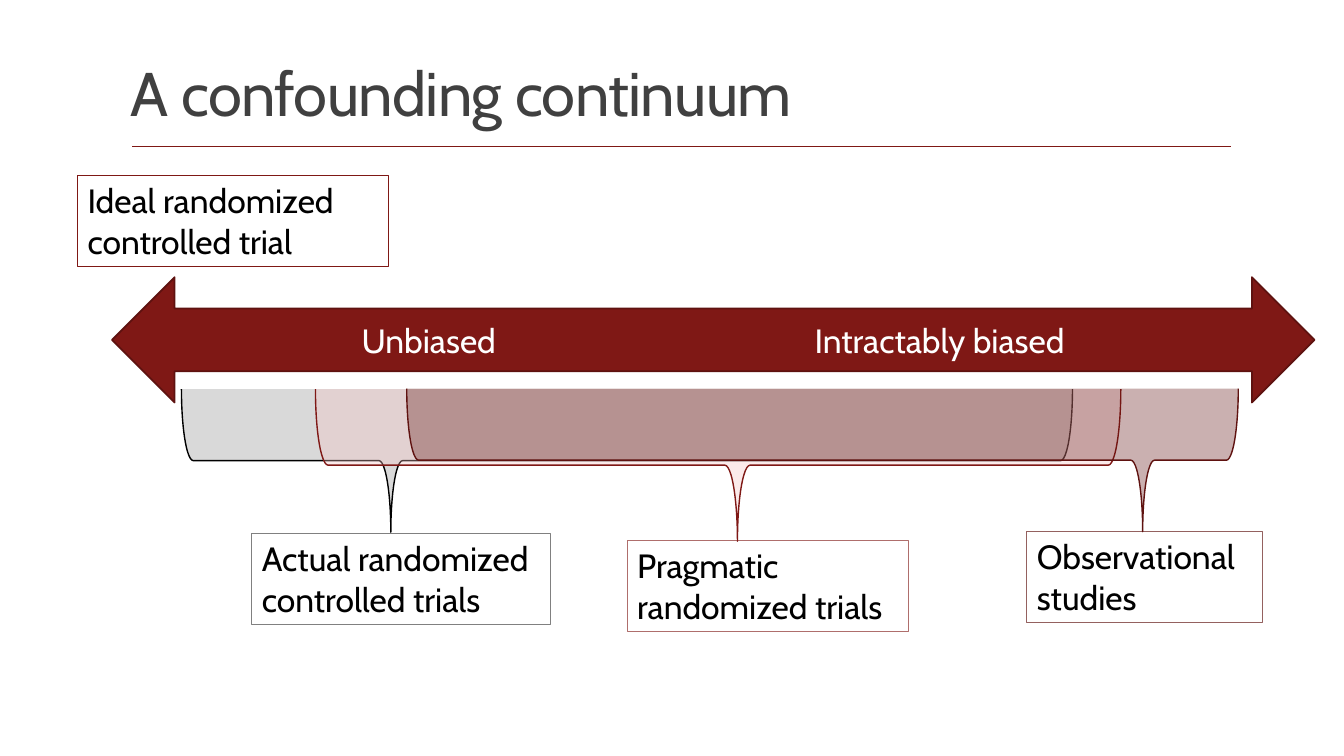
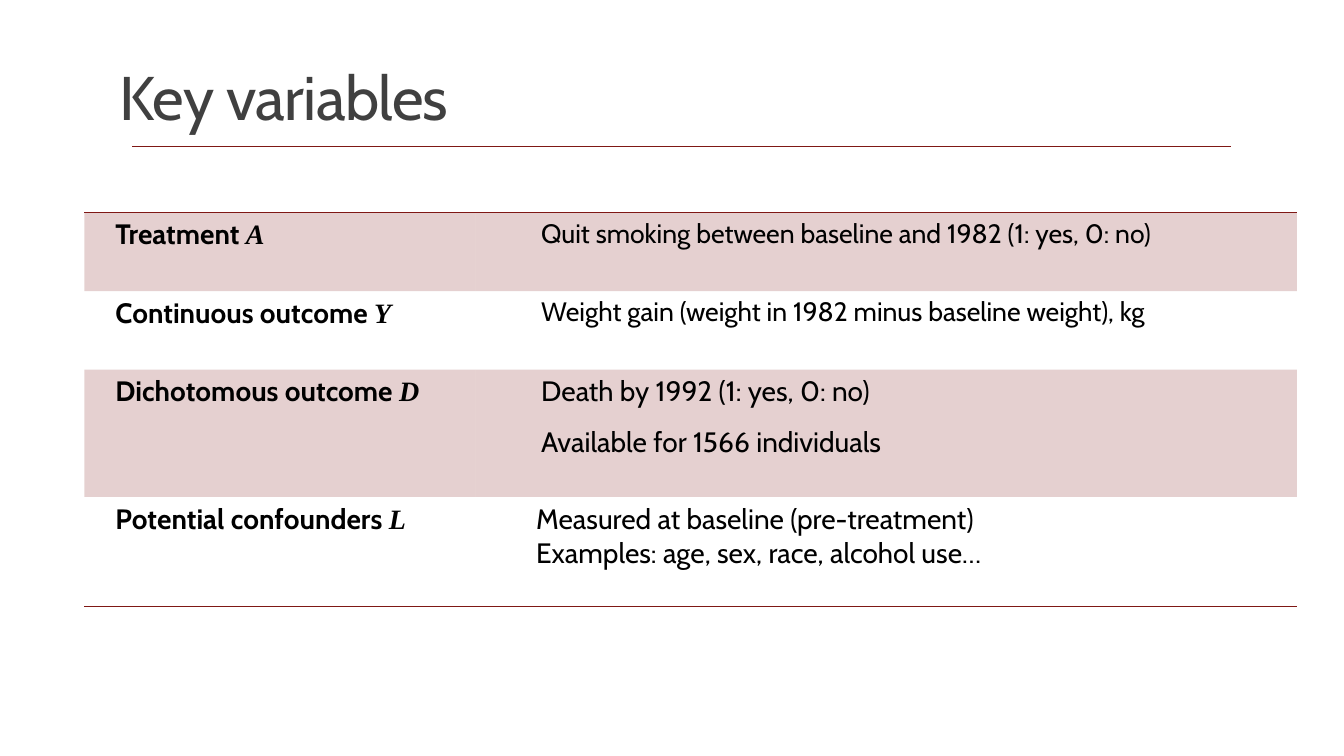
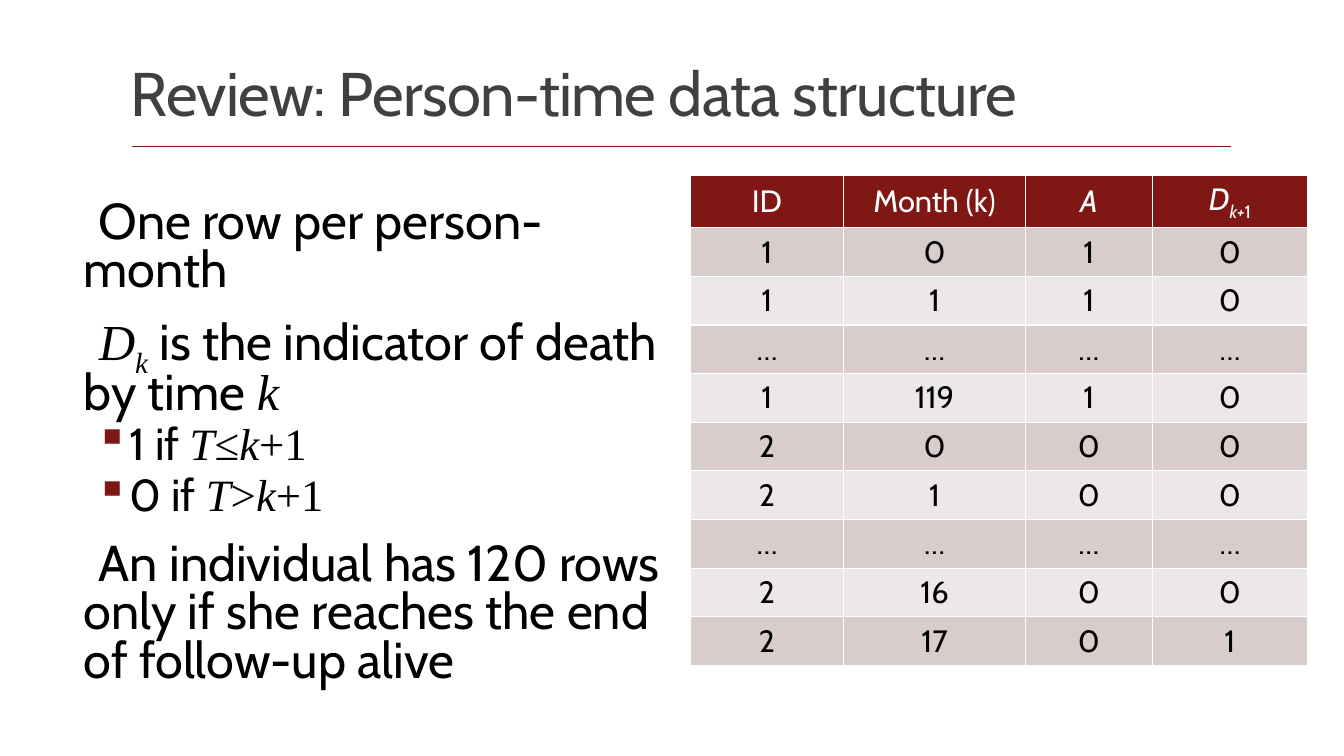
from pptx import Presentation
from pptx.dml.color import RGBColor
from pptx.enum.shapes import MSO_CONNECTOR as CONN, MSO_SHAPE as SHAPE
from pptx.enum.text import MSO_ANCHOR as ANCHOR, PP_ALIGN as ALIGN
from pptx.oxml.ns import qn
from pptx.util import Pt
from lxml.etree import SubElement, Element

RED = RGBColor(0x7F, 0x18, 0x15)
DARK_RED = RGBColor(0x5E, 0x12, 0x10)
DEEP_RED = RGBColor(0x5F, 0x12, 0x10)
ROSE = RGBColor(0xAF, 0x6E, 0x6C)
MAUVE = RGBColor(0x94, 0x61, 0x5F)
PINK = RGBColor(0xF5, 0xC2, 0xC1)
BAND_DARK = RGBColor(0xD8, 0xCC, 0xCC)
BAND_LIGHT = RGBColor(0xEC, 0xE8, 0xE8)
LIGHT_GREY = RGBColor(0xD9, 0xD9, 0xD9)
GREY = RGBColor(0x80, 0x80, 0x80)
CHARCOAL = RGBColor(0x40, 0x40, 0x40)
BLACK = RGBColor(0, 0, 0)
WHITE = RGBColor(0xFF, 0xFF, 0xFF)
NO_STYLE = "{2D5ABB26-0587-4C30-8999-92F81FD0307C}"


def write(p, size, color, *runs):
    # flags: b bold, i italic, m math font, s subscript
    for text, flags in runs:
        r = p.add_run()
        r.text = text
        f = r.font
        f.name = "Times New Roman" if "m" in flags else "Cabin"
        f.size = Pt(size)
        f.color.rgb = color
        f.bold = "b" in flags
        f.italic = "i" in flags
        if "s" in flags:
            r._r.get_or_add_rPr().set("baseline", "-25000")


def border(cell, side, color, width):
    tcPr = cell._tc.get_or_add_tcPr()
    ln = Element(qn("a:ln" + side), w=str(Pt(width)))
    SubElement(SubElement(ln, qn("a:solidFill")), qn("a:srgbClr"), val=str(color))
    tcPr.insert(len([e for e in tcPr if "}ln" in e.tag]), ln)


prs = Presentation()
prs.slide_width, prs.slide_height = Pt(960), Pt(540)

slides = []
for title, box in [
    ("A confounding continuum", (86.4, 26, 792, 70)),
    ("Key variables", (78.5, 18, 784, 80.6)),
    ("Review: Person-time data structure", (86.4, 26, 792, 70)),
]:
    s = prs.slides.add_slide(prs.slide_layouts[6])
    slides.append(s)
    rule = s.shapes.add_connector(CONN.STRAIGHT, Pt(94.5), Pt(104.5), Pt(879), Pt(104.5))
    rule.line.color.rgb = RED
    rule.line.width = Pt(0.5)
    SubElement(rule._element.spPr, qn("a:effectLst"))
    tf = s.shapes.add_textbox(*map(Pt, box)).text_frame
    tf.word_wrap = True
    tf.vertical_anchor = ANCHOR.BOTTOM
    p = tf.paragraphs[0]
    p.line_spacing = 0.85
    write(p, 44, CHARCOAL, (title, ""))
    p.runs[0]._r.get_or_add_rPr().set("spc", "-50")

continuum, variables, review = slides

arrow = continuum.shapes.add_shape(SHAPE.LEFT_RIGHT_ARROW, Pt(80), Pt(198), Pt(859), Pt(89.5))
arrow.shadow.inherit = False
arrow.fill.solid()
arrow.fill.fore_color.rgb = RED
arrow.line.color.rgb = DARK_RED
arrow.line.width = Pt(1.25)
tf = arrow.text_frame
tf.margin_left = Pt(156)
tf.vertical_anchor = ANCHOR.MIDDLE
p = tf.paragraphs[0]
p.alignment = ALIGN.LEFT
tabs = SubElement(p._p.get_or_add_pPr(), qn("a:tabLst"))
SubElement(tabs, qn("a:tab"), pos=str(Pt(323.5)), algn="l")
write(p, 24, WHITE, ("Unbiased\tIntractably biased", ""))

for text, left, top, width, color in [
    ("Ideal randomized controlled trial", 55.5, 125.3, 222, RED),
    ("Actual randomized controlled trials", 180, 381, 213.5, GREY),
    ("Pragmatic randomized trials", 448, 386, 201, ROSE),
    ("Observational studies", 733.5, 379.5, 168, MAUVE),
]:
    sp = continuum.shapes.add_textbox(Pt(left), Pt(top), Pt(width), Pt(65.4))
    sp.line.color.rgb = color
    sp.line.width = Pt(0.75)
    sp.text_frame.word_wrap = True
    write(sp.text_frame.paragraphs[0], 24, BLACK, (text, ""))

for box, tip, fill, alpha, color in [
    ((396.7, 10.8, 102.2, 636.5), 0.765, LIGHT_GREY, 100, BLACK),
    ((458.6, 44.6, 108.7, 575.3), 0.476, PINK, 33, RED),
    ((536.4, 31.7, 102.2, 594), 0.115, DEEP_RED, 33, DEEP_RED),
]:
    sp = continuum.shapes.add_shape(SHAPE.RIGHT_BRACE, *map(Pt, box))
    sp.shadow.inherit = False
    sp.rotation = 90
    sp.adjustments[0] = 0.083
    sp.adjustments[1] = tip
    sp.fill.solid()
    sp.fill.fore_color.rgb = fill
    clr = sp._element.spPr.find(qn("a:solidFill"))[0]
    SubElement(clr, qn("a:alpha"), val=str(alpha * 1000))
    sp.line.color.rgb = color
    sp.line.width = Pt(1)

tables = []
for s, left, top, cols, rows in [
    (variables, 60.3, 152, (279.5, 586.5), (56, 56, 91, 78)),
    (review, 492.8, 125.5, (110, 129.5, 91, 110.5), [36.2] + [34.75] * 9),
]:
    tbl = s.shapes.add_table(len(rows), len(cols), Pt(left), Pt(top), Pt(sum(cols)), Pt(sum(rows))).table
    tbl._tbl.tblPr.find(qn("a:tableStyleId")).text = NO_STYLE
    for column, width in zip(tbl.columns, cols):
        column.width = Pt(width)
    for row, height in zip(tbl.rows, rows):
        row.height = Pt(height)
    tables.append(tbl)

variable_table, person_table = tables

for i, (label, symbol, details, size, indent, before) in enumerate([
    ("Treatment ", "A", ["Quit smoking between baseline and 1982 (1: yes, 0: no)"], 19, 39.6, 12),
    ("Continuous outcome ", "Y", ["Weight gain (weight in 1982 minus baseline weight), kg"], 19, 39.6, 12),
    ("Dichotomous outcome ", "D", ["Death by 1992 (1: yes, 0: no)", "Available for 1566 individuals"], 20, 39.6, 12),
    ("Potential confounders ", "L", ["Measured at baseline (pre-treatment)",
                                     "Examples: age, sex, race, alcohol use…"], 20, 36, 0),
]):
    name, detail = variable_table.rows[i].cells
    p = name.text_frame.paragraphs[0]
    p.space_before = Pt(12)
    p._p.get_or_add_pPr().set("marL", str(Pt(15)))
    write(p, 20, BLACK, (label, "b"), (symbol, "bim"))
    tf = detail.text_frame
    for j, text in enumerate(details):
        p = tf.add_paragraph() if j else tf.paragraphs[0]
        p.space_before = Pt(before)
        p._p.get_or_add_pPr().set("marL", str(Pt(indent)))
        write(p, size, BLACK, (text, ""))
    for cell in (name, detail):
        if i % 2 == 0:
            cell.fill.solid()
            cell.fill.fore_color.rgb = RED
            clr = cell._tc.tcPr.find(qn("a:solidFill"))[0]
            SubElement(clr, qn("a:alpha"), val="20000")
        if i == 0:
            border(cell, "T", RED, 1)
        if i == 3:
            border(cell, "B", RED, 1)

body = review.shapes.add_textbox(Pt(52.6), Pt(139.7), Pt(424.8), Pt(341.3))
tf = body.text_frame
tf.word_wrap = True
tf.margin_left = tf.margin_right = 0
for i, (level, runs) in enumerate([
    (0, [("One row per person-month", "")]),
    (0, [("D", "im"), ("k", "ims"), (" is the indicator of death by time ", ""), ("k", "im")]),
    (1, [("1 if ", ""), ("T", "im"), ("≤", "m"), ("k", "im"), ("+1", "m")]),
    (1, [("0 if ", ""), ("T", "im"), (">", "m"), ("k", "im"), ("+1", "m")]),
    (0, [("An individual has 120 rows only if she reaches the end of follow-up alive", "")]),
]):
    size, before, after, indent, hang, bullet = [
        (36, 12, 2, 7.2, 7.2, " "), (32, 2, 4, 30.2, 14.4, "▪")][level]
    p = tf.add_paragraph() if i else tf.paragraphs[0]
    p.level = level
    p.line_spacing = 0.8
    p.space_before, p.space_after = Pt(before), Pt(after)
    pPr = p._p.get_or_add_pPr()
    pPr.set("marL", str(Pt(indent)))
    pPr.set("indent", str(-Pt(hang)))
    SubElement(SubElement(pPr, qn("a:buClr")), qn("a:srgbClr"), val=str(RED))
    SubElement(pPr, qn("a:buChar"), char=bullet)
    write(p, size, BLACK, *runs)

header = [[("ID", "")], [("Month (k)", "")], [("A", "i")], [("D", "i"), ("k+", "is"), ("1", "s")]]
records = ["1 0 1 0", "1 1 1 0", "… … … …", "1 119 1 0", "2 0 0 0",
           "2 1 0 0", "… … … …", "2 16 0 0", "2 17 0 1"]
rows = [header] + [[[(value, "")] for value in record.split()] for record in records]
for i, row in enumerate(rows):
    for cell, runs in zip(person_table.rows[i].cells, row):
        cell.vertical_anchor = ANCHOR.MIDDLE
        cell.fill.solid()
        cell.fill.fore_color.rgb = (BAND_DARK if i % 2 else BAND_LIGHT) if i else RED
        for side in "LRTB":
            border(cell, side, WHITE, 1)
        p = cell.text_frame.paragraphs[0]
        p.alignment = ALIGN.CENTER
        write(p, 22, BLACK if i else WHITE, *runs)

prs.save("out.pptx")
